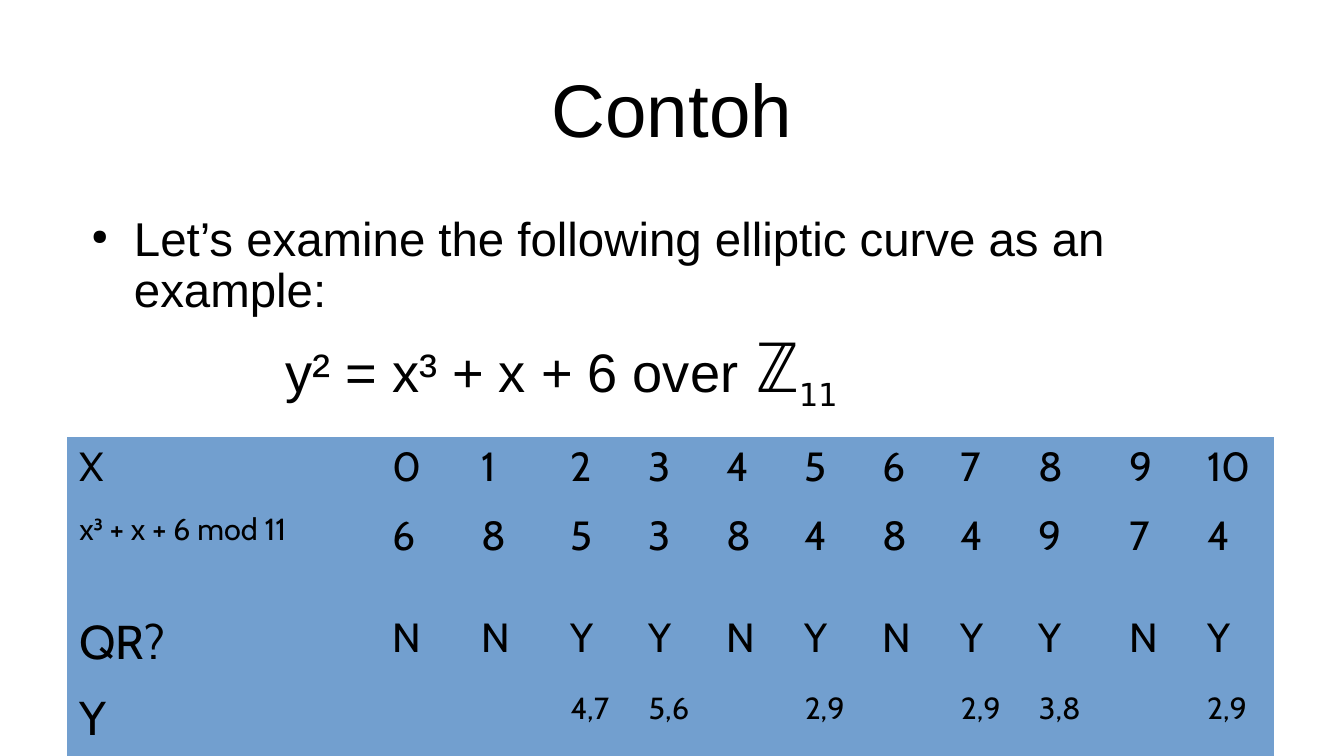
from dataclasses import dataclass

from lxml import etree
from pptx import Presentation
from pptx.dml.color import RGBColor
from pptx.enum.text import MSO_ANCHOR, PP_ALIGN
from pptx.oxml.ns import qn
from pptx.util import Inches, Pt

CENTER, LEFT = PP_ALIGN.CENTER, PP_ALIGN.LEFT
MIDDLE, TOP = MSO_ANCHOR.MIDDLE, MSO_ANCHOR.TOP

COLORS = {"ink": "000000", "cell": "729FCF"}
SANS, TABLE_FONT, MATH_FONT = "Arial", "Cabin", "DejaVu Sans Mono"
PLAIN_STYLE = "{2D5ABB26-0587-4C30-8999-92F81FD0307C}"
MARGIN, CONTENT_WIDTH = 0.55, 9.92


@dataclass
class Span:
    text: str
    size: float
    font: str = SANS
    baseline: int = 0


@dataclass
class CurveRow:
    label: str
    label_size: float
    values: list[str]
    value_size: float
    height: float


CURVE_ROWS = [
    CurveRow("X", 24, [str(x) for x in range(11)], 24, 0.56),
    CurveRow("x³ + x + 6 mod 11", 18, list("68538484974"), 24, 0.84),
    CurveRow("QR?", 28, list("NNYYNYNYYNY"), 24, 0.63),
    CurveRow("Y", 28, ["", "", "4,7", "5,6", "", "2,9", "", "2,9", "3,8", "", "2,9"], 18, 0.63),
]
COLUMN_WIDTHS = [2.57, 0.73, 0.73] + [0.64] * 6 + [0.74, 0.64, 0.65]


def color(name: str) -> RGBColor:
    return RGBColor.from_string(COLORS[name])


def add_spans(para, spans: list[Span]) -> None:
    for span in spans:
        run = para.add_run()
        run.text = span.text
        run.font.size = Pt(span.size)
        run.font.name = span.font
        run.font.color.rgb = color("ink")
        properties = run.font._element
        if span.baseline:
            properties.set("baseline", str(span.baseline * 1000))
        if span.font == MATH_FONT:
            for tag in ("a:ea", "a:cs"):
                etree.SubElement(properties, qn(tag)).set("typeface", span.font)


def add_text_frame(page, top: float, height: float, anchor):
    box = page.shapes.add_textbox(Inches(MARGIN), Inches(top), Inches(CONTENT_WIDTH), Inches(height))
    box.text_frame.word_wrap = True
    box.text_frame.vertical_anchor = anchor
    return box.text_frame


def set_indent(para, left: float, first: float = 0) -> None:
    properties = para._p.get_or_add_pPr()
    properties.set("marL", str(Inches(left)))
    properties.set("indent", str(Inches(first)))


def add_bullet(para) -> None:
    properties = para._p.get_or_add_pPr()
    bullet_color = etree.SubElement(properties, qn("a:buClr"))
    etree.SubElement(bullet_color, qn("a:srgbClr")).set("val", COLORS["ink"])
    etree.SubElement(properties, qn("a:buSzPct")).set("val", "45000")
    etree.SubElement(properties, qn("a:buChar")).set("char", "●")


def add_curve_table(page, top: float, rows: list[CurveRow]) -> None:
    frame = page.shapes.add_table(
        len(rows), len(COLUMN_WIDTHS), Inches(MARGIN), Inches(top),
        Inches(sum(COLUMN_WIDTHS)), Inches(sum(row.height for row in rows)))
    table = frame.table
    table.first_row = table.horz_banding = False
    table._tbl.tblPr.find(qn("a:tableStyleId")).text = PLAIN_STYLE
    for column, width in zip(table.columns, COLUMN_WIDTHS):
        column.width = Inches(width)
    for row_index, row in enumerate(rows):
        table.rows[row_index].height = Inches(row.height)
        for column_index, text in enumerate([row.label] + row.values):
            cell = table.cell(row_index, column_index)
            cell.fill.solid()
            cell.fill.fore_color.rgb = color("cell")
            if text:
                size = row.value_size if column_index else row.label_size
                add_spans(cell.text_frame.paragraphs[0], [Span(text, size, TABLE_FONT)])


def main() -> None:
    deck = Presentation()
    deck.slide_width, deck.slide_height = Inches(11.02), Inches(6.2)
    page = deck.slides.add_slide(deck.slide_layouts[6])

    # Title
    title = add_text_frame(page, 0.26, 1.25, MIDDLE).paragraphs[0]
    title.alignment = CENTER
    add_spans(title, [Span("Contoh", 44)])

    # Introduction and curve equation
    body = add_text_frame(page, 1.72, 1.8, TOP)
    intro = body.paragraphs[0]
    intro.line_spacing = 0.9
    set_indent(intro, 0.45, -0.35)
    add_bullet(intro)
    add_spans(intro, [Span("Let’s examine the following elliptic curve as an example:", 28)])

    equation = body.add_paragraph()
    equation.alignment = LEFT
    equation.line_spacing = 0.9
    equation.space_before = Pt(6.9)
    set_indent(equation, 1.69)
    add_spans(equation, [
        Span("y² = x³ + x + 6 over", 32),
        Span(" ", 40),
        Span("ℤ", 40, MATH_FONT),
        Span("11", 32.3, MATH_FONT, -25),
    ])

    # Table of points on the curve
    add_curve_table(page, 3.58, CURVE_ROWS)

    deck.save("out.pptx")


if __name__ == "__main__":
    main()
